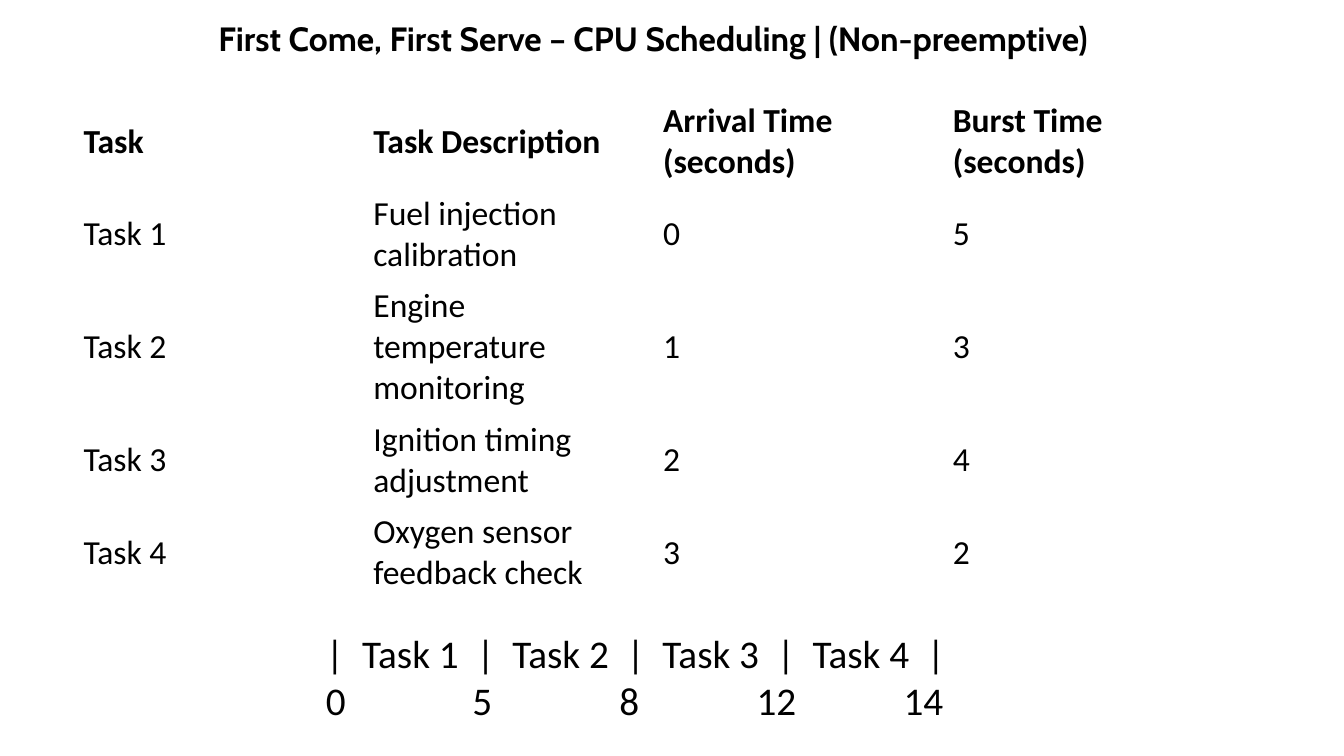
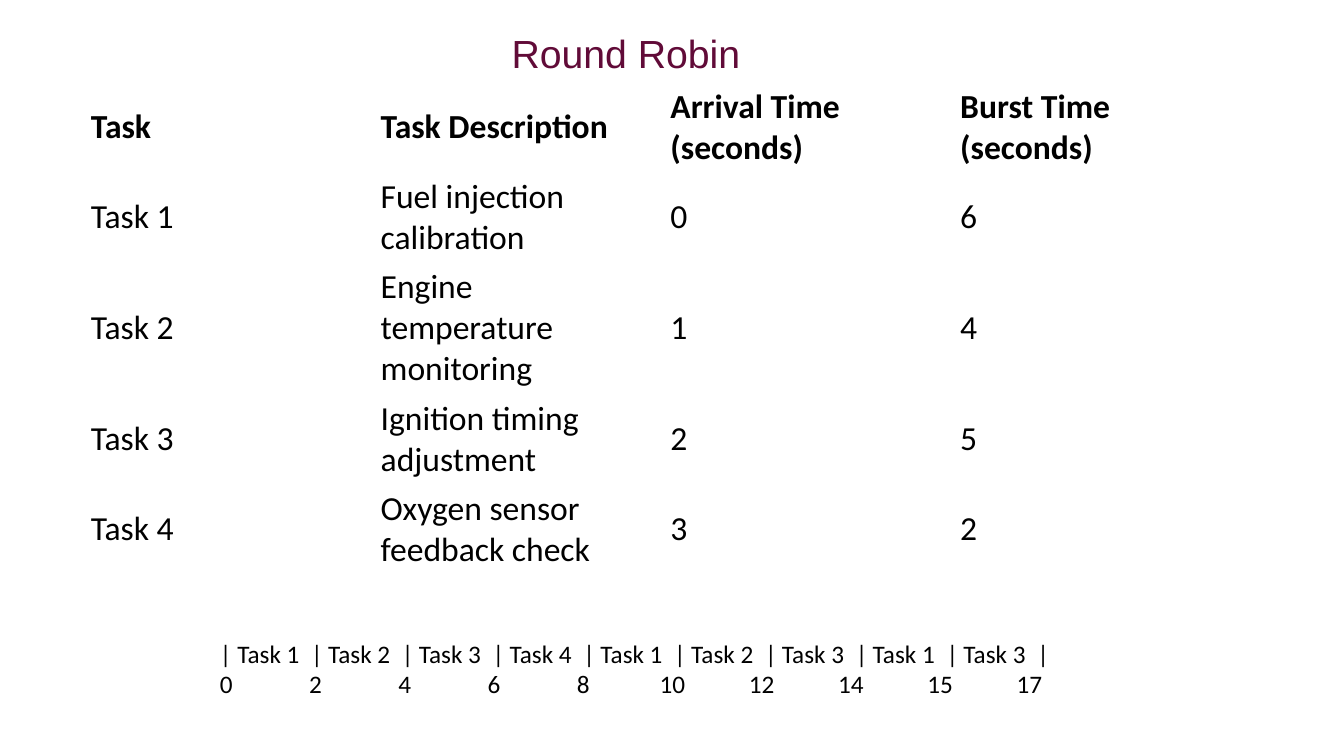
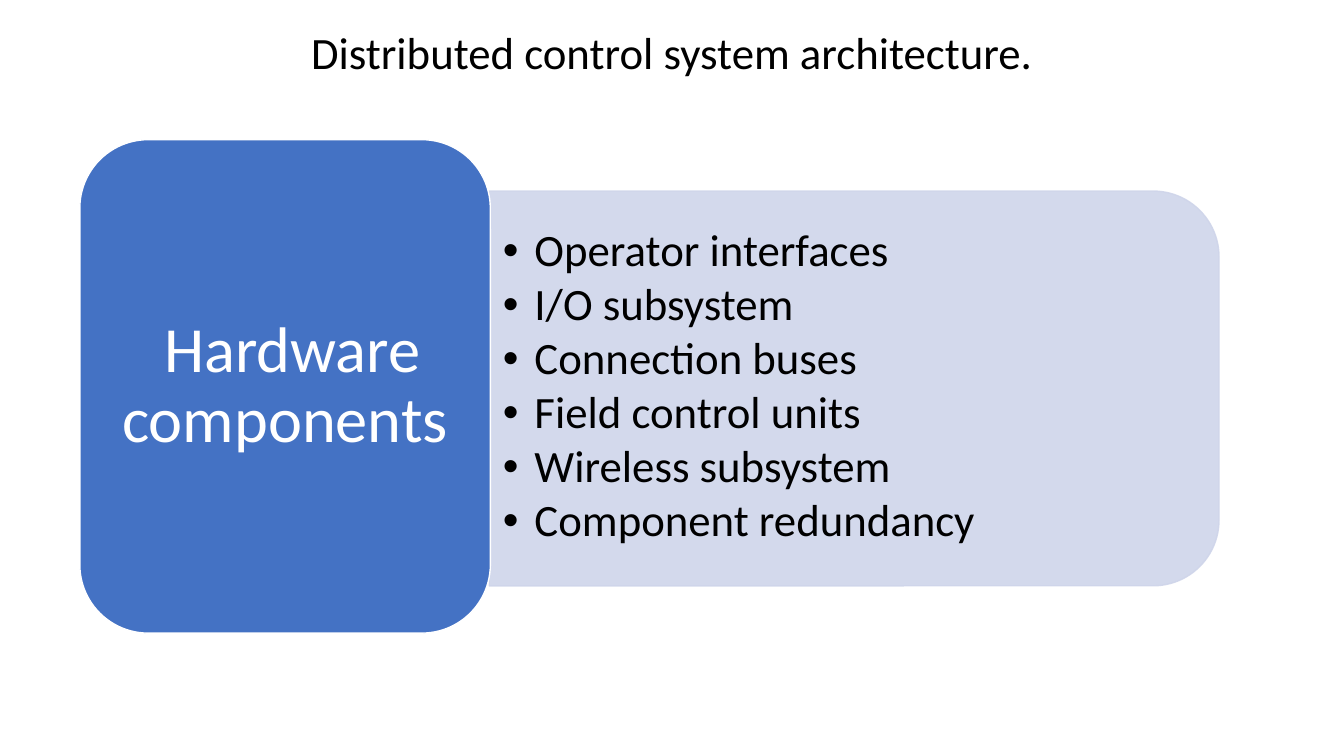
from lxml import etree
from pptx import Presentation
from pptx.dml.color import RGBColor
from pptx.enum.shapes import MSO_SHAPE
from pptx.enum.text import MSO_ANCHOR, MSO_AUTO_SIZE, PP_ALIGN
from pptx.oxml.ns import qn
from pptx.util import Pt

ROUNDED = MSO_SHAPE.ROUNDED_RECTANGLE
ROUNDED_TOP = MSO_SHAPE.ROUND_2_SAME_RECTANGLE
TOP, MIDDLE, BOTTOM = MSO_ANCHOR.TOP, MSO_ANCHOR.MIDDLE, MSO_ANCHOR.BOTTOM
CENTER, LEFT = PP_ALIGN.CENTER, PP_ALIGN.LEFT
NO_AUTOFIT = MSO_AUTO_SIZE.NONE

BLACK = RGBColor(0, 0, 0)
WHITE = RGBColor(255, 255, 255)
PLUM = RGBColor(0x61, 0x0B, 0x38)
BLUE = RGBColor(0x44, 0x72, 0xC4)
PALE_BLUE = RGBColor(0xCF, 0xD5, 0xEA)
BODY_FONT = "Calibri"

HEADINGS = ["Task", "Task Description", "Arrival Time (seconds)", "Burst Time (seconds)"]
DESCRIPTIONS = [
    "Fuel injection calibration",
    "Engine temperature monitoring",
    "Ignition timing adjustment",
    "Oxygen sensor feedback check",
]
ROW_LINES = [2, 2, 3, 2, 2]
LINE_HEIGHT = 39
COLUMN_WIDTH = 276

SCHEDULES = [
    {
        "title": ("First Come, First Serve – CPU Scheduling | (Non-preemptive)",
                  (142, 15, 960, 46), 24, "Cabin", BLACK, True, BOTTOM, 0.9),
        "bursts": [5, 3, 4, 2],
        "table_at": (70, 91),
        "cell_margin": 5,
        "order": [1, 2, 3, 4],
        "marks": [0, 5, 8, 12, 14],
        "gantt": {"box": (301, 595, 738, 100), "size": 28, "start": 9,
                  "span": 572, "mark_step": 140, "label_shift": 0},
    },
    {
        "title": ("Round Robin", (276, 23, 640, 55), 28, "Arial", PLUM, False, TOP, 1),
        "bursts": [6, 4, 5, 2],
        "table_at": (77, 78),
        "cell_margin": 4,
        "order": [1, 2, 3, 4, 1, 2, 3, 1, 3],
        "marks": [0, 2, 4, 6, 8, 10, 12, 14, 15, 17],
        "gantt": {"box": (200, 603, 907, 68), "size": 18, "start": 6,
                  "span": 778, "mark_step": 85, "label_shift": -3},
    },
]

ARCHITECTURE_TITLE = ("Distributed control system architecture.",
                      (161, 19, 958, 61), 32, BODY_FONT, BLACK, False, TOP, 1)
HARDWARE = " Hardware components"
HARDWARE_BOX = (76, 133, 391, 470)
HARDWARE_INSETS = (18, 9, 18, 9)
COMPONENTS = [
    "Operator interfaces",
    "I/O subsystem",
    "Connection buses",
    "Field control units",
    "Wireless subsystem",
    "Component redundancy",
]
PANEL_BOX = (466, 182, 695, 376)
COMPONENTS_BOX = (467, 199, 677, 340)
COMPONENTS_INSETS = (12, 7, 12, 7)
BULLET_INDENT = 30


def px(length):
    return round(length * 9525)


def place(shape, box):
    shape.left, shape.top, shape.width, shape.height = map(px, box)


def style_frame(frame, size, color, font=BODY_FONT, bold=False, align=LEFT, spacing=1.0):
    for paragraph in frame.paragraphs:
        paragraph.alignment = align
        paragraph.line_spacing = spacing
        for run in paragraph.runs:
            run.font.size = Pt(size)
            run.font.name = font
            run.font.bold = bold
            run.font.color.rgb = color


def set_insets(frame, insets):
    (frame.margin_left, frame.margin_top,
     frame.margin_right, frame.margin_bottom) = map(px, insets)


def new_slide(layout, title):
    text, box, size, font, color, bold, anchor, spacing = title
    slide = prs.slides.add_slide(layout)
    heading = slide.shapes.title
    place(heading, box)
    frame = heading.text_frame
    frame.text = text
    frame.auto_size = NO_AUTOFIT
    frame.vertical_anchor = anchor
    style_frame(frame, size, color, font, bold, CENTER, spacing)
    return slide


def add_tasks(slide, bursts, corner, margin):
    rows = [HEADINGS] + [
        [f"Task {number + 1}", description, str(number), str(burst)]
        for number, (description, burst) in enumerate(zip(DESCRIPTIONS, bursts))
    ]
    heights = [lines * LINE_HEIGHT + 2 * margin for lines in ROW_LINES]
    box = (*corner, COLUMN_WIDTH * len(HEADINGS), sum(heights))
    table = slide.shapes.add_table(len(rows), len(HEADINGS), *map(px, box)).table
    table.first_row = table.horz_banding = False
    for r, (row, height) in enumerate(zip(rows, heights)):
        table.rows[r].height = px(height)
        for c, text in enumerate(row):
            cell = table.cell(r, c)
            cell.text = text
            cell.fill.background()
            cell.vertical_anchor = MIDDLE
            cell.margin_top = cell.margin_bottom = px(margin)
            style_frame(cell.text_frame, 24, BLACK, bold=r == 0)


def set_center_tabs(paragraph, stops):
    tabs = etree.SubElement(paragraph._p.get_or_add_pPr(), qn("a:tabLst"))
    for stop in stops:
        etree.SubElement(tabs, qn("a:tab"), pos=str(px(stop)), algn="ctr")


def add_gantt(slide, order, marks, box, size, start, span, mark_step, label_shift):
    frame = slide.shapes.add_textbox(*map(px, box)).text_frame
    frame.word_wrap = True
    bars = "|" + "".join(f"\tTask {task}\t|" for task in order)
    frame.text = bars + "\n" + "\t".join(map(str, marks))
    style_frame(frame, size, BLACK)
    step = span / len(order)
    bar_stops = []
    for i in range(len(order)):
        bar_stops += [start + (i + 0.5) * step + label_shift, start + (i + 1) * step]
    mark_stops = [start + i * mark_step for i in range(1, len(marks))]
    for paragraph, stops in zip(frame.paragraphs, (bar_stops, mark_stops)):
        set_center_tabs(paragraph, stops)


def add_block(slide, kind, box, fill, line):
    block = slide.shapes.add_shape(kind, *map(px, box))
    block.shadow.inherit = False
    block.fill.solid()
    block.fill.fore_color.rgb = fill
    block.line.color.rgb = line
    block.line.width = Pt(1)
    return block


def add_panel(slide):
    left, top, width, height = PANEL_BOX
    shift = (width - height) / 2
    panel = add_block(slide, ROUNDED_TOP, (left + shift, top - shift, height, width),
                      PALE_BLUE, PALE_BLUE)
    panel.rotation = 90
    for color in panel._element.spPr.iter(qn("a:srgbClr")):
        etree.SubElement(color, qn("a:alpha"), val="90000")


def add_hardware(slide):
    frame = add_block(slide, ROUNDED, HARDWARE_BOX, BLUE, WHITE).text_frame
    frame.text = HARDWARE
    frame.word_wrap = True
    frame.vertical_anchor = MIDDLE
    set_insets(frame, HARDWARE_INSETS)
    style_frame(frame, 46, WHITE, align=CENTER, spacing=0.9)


def fill_components(slide):
    components = slide.placeholders[1]
    slide.shapes._spTree.append(components._element)
    place(components, COMPONENTS_BOX)
    frame = components.text_frame
    frame.text = "\n".join(COMPONENTS)
    frame.auto_size = NO_AUTOFIT
    frame.vertical_anchor = MIDDLE
    set_insets(frame, COMPONENTS_INSETS)
    style_frame(frame, 32, BLACK, spacing=0.9)
    for paragraph in frame.paragraphs:
        paragraph.space_before = Pt(0)
        paragraph.space_after = Pt(4)
        properties = paragraph._p.get_or_add_pPr()
        properties.set("marL", str(px(BULLET_INDENT)))
        properties.set("indent", str(px(-BULLET_INDENT)))
        etree.SubElement(properties, qn("a:buChar"), char="•")


prs = Presentation()
prs.slide_width, prs.slide_height = px(1280), px(720)
TITLE_AND_LIST, TITLE_ONLY = prs.slide_layouts[1], prs.slide_layouts[5]

for schedule in SCHEDULES:
    schedule_slide = new_slide(TITLE_ONLY, schedule["title"])
    add_tasks(schedule_slide, schedule["bursts"], schedule["table_at"], schedule["cell_margin"])
    add_gantt(schedule_slide, schedule["order"], schedule["marks"], **schedule["gantt"])

architecture = new_slide(TITLE_AND_LIST, ARCHITECTURE_TITLE)
add_panel(architecture)
add_hardware(architecture)
fill_components(architecture)

prs.save("out.pptx")
